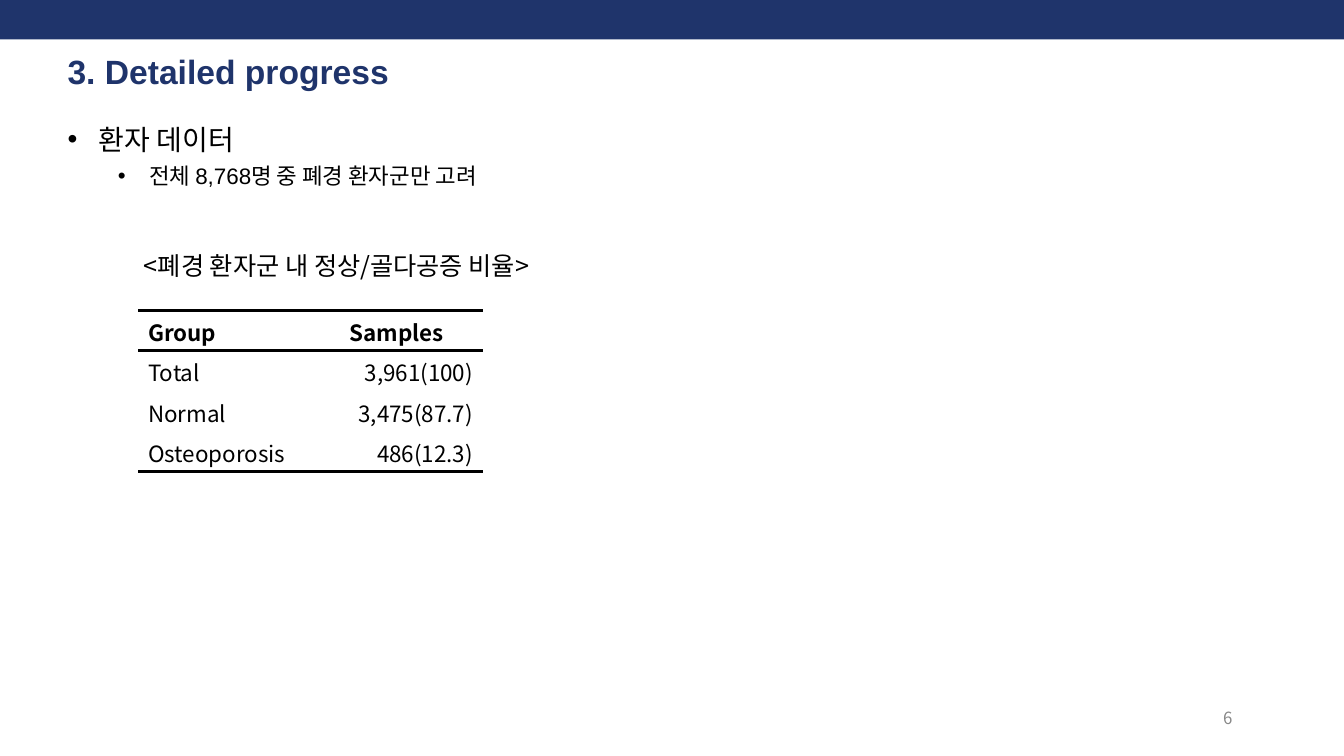
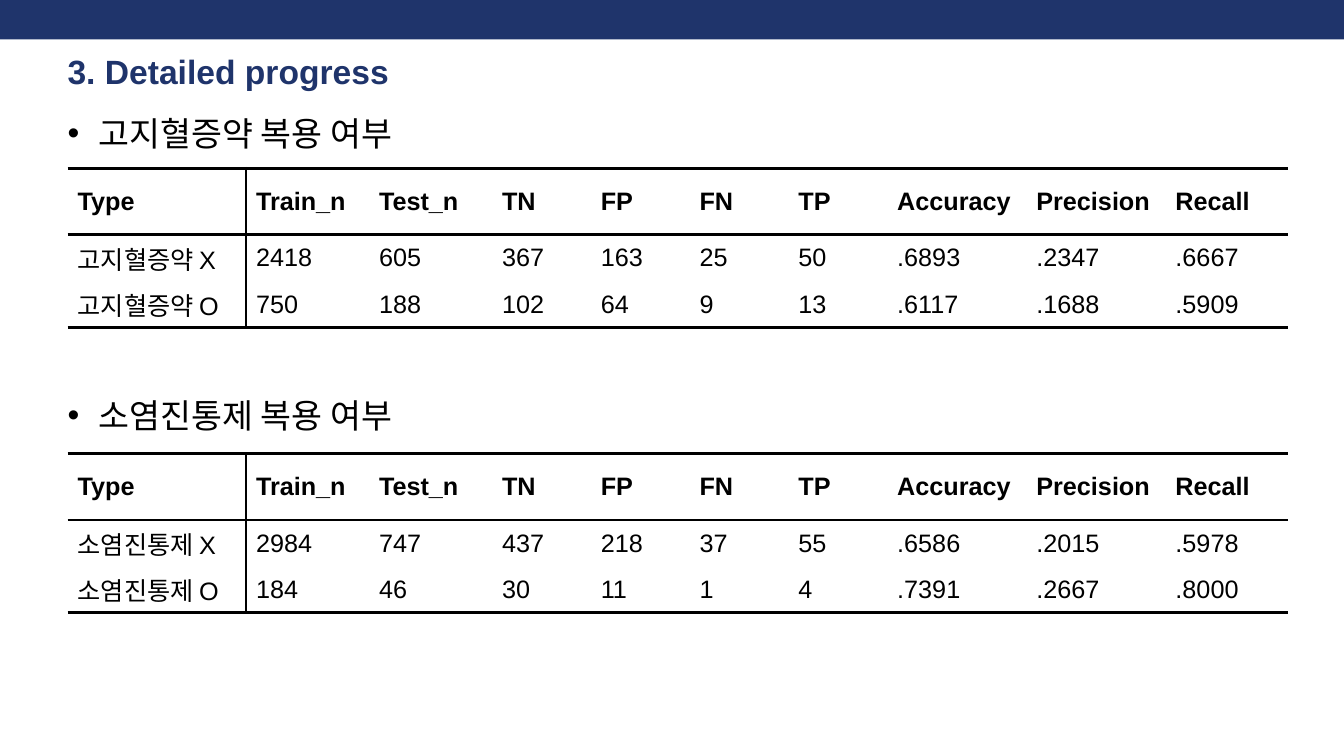
from pptx import Presentation
from pptx.dml.color import RGBColor
from pptx.enum.shapes import MSO_SHAPE as Shape
from pptx.enum.text import MSO_ANCHOR as Anchor, PP_ALIGN as Align
from pptx.oxml import parse_xml
from pptx.oxml.ns import nsdecls
from pptx.util import Inches, Pt

NAVY, BLACK, GRAY = "1F346B", "000000", "888888"
LATIN, KOREAN = "Arial", "Noto Sans CJK KR"
TITLE = "3. Detailed progress"
MARGIN = 0.67
THICK, THIN = 2.25, 1

PATIENT_BULLETS = [
    ("환자 데이터", 20, 0.31),
    ("전체 8,768명 중 폐경 환자군만 고려", 16, 0.81),
]
RATIO_CAPTION = "<폐경 환자군 내 정상/골다공증 비율>"
RATIO_ROWS = [
    ("Group", "Samples"),
    ("Total", "3,961(100)"),
    ("Normal", "3,475(87.7)"),
    ("Osteoporosis", "486(12.3)"),
]
RESULT_HEADER = ("Type", "Train_n", "Test_n", "TN", "FP", "FN", "TP",
                 "Accuracy", "Precision", "Recall")
RESULT_WIDTHS = [1.77, 1.22, 1.22, 0.98, 0.98, 0.98, 0.98, 1.38, 1.38, 1.22]
RESULT_HEIGHTS = [0.66, 0.46, 0.46]
RESULTS = [
    ("고지혈증약 복용 여부", 1.12, 1.67, [
        ("고지혈증약 X", "2418", "605", "367", "163", "25", "50", ".6893", ".2347", ".6667"),
        ("고지혈증약 O", "750", "188", "102", "64", "9", "13", ".6117", ".1688", ".5909"),
    ]),
    ("소염진통제 복용 여부", 3.92, 4.5, [
        ("소염진통제 X", "2984", "747", "437", "218", "37", "55", ".6586", ".2015", ".5978"),
        ("소염진통제 O", "184", "46", "30", "11", "1", "4", ".7391", ".2667", ".8000"),
    ]),
]


def color(value):
    return RGBColor.from_string(value)


def style(para, size, font=LATIN, ink=BLACK, bold=False):
    for span in para.runs:
        span.font.size = Pt(size)
        span.font.name = font
        span.font.bold = bold
        span.font.color.rgb = color(ink)
        span.font._element.append(
            parse_xml(f'<a:ea {nsdecls("a")} typeface="{KOREAN}"/>'))


def add_box(page, left, top, width, height, inset=True):
    box = page.shapes.add_textbox(*map(Inches, (left, top, width, height)))
    frame = box.text_frame
    frame.word_wrap = True
    if not inset:
        frame.margin_left = frame.margin_right = 0
        frame.margin_top = frame.margin_bottom = 0
    return frame


def add_bullet(para, text, size, left):
    para.text = text
    props = para._p.get_or_add_pPr()
    props.set("marL", str(Inches(left)))
    props.set("indent", str(-Inches(0.31)))
    props.append(parse_xml(f'<a:buFont {nsdecls("a")} typeface="{LATIN}"/>'))
    props.append(parse_xml(f'<a:buChar {nsdecls("a")} char="•"/>'))
    style(para, size)


def set_borders(cell, **widths):
    props = cell._tc.get_or_add_tcPr()
    for index, side in enumerate("LRTB"):
        width = widths.get(side, 0)
        paint = (f'<a:solidFill><a:srgbClr val="{BLACK}"/></a:solidFill>'
                 if width else "<a:noFill/>")
        props.insert(index, parse_xml(
            f'<a:ln{side} {nsdecls("a")} w="{Pt(width)}">{paint}</a:ln{side}>'))


def add_grid(page, left, top, widths, heights, rows, size, font,
             aligns=None, anchor=Anchor.TOP, divider=False):
    places = map(Inches, (left, top, sum(widths), sum(heights)))
    table = page.shapes.add_table(len(rows), len(widths), *places).table
    table.first_row = table.horz_banding = False
    for column, width in zip(table.columns, widths):
        column.width = Inches(width)
    for row, height in zip(table.rows, heights):
        row.height = Inches(height)
    last = len(rows) - 1
    for r, values in enumerate(rows):
        for c, value in enumerate(values):
            cell = table.cell(r, c)
            cell.fill.background()
            cell.vertical_anchor = anchor
            para = cell.text_frame.paragraphs[0]
            para.text = value
            if aligns:
                para.alignment = aligns[min(r, 1)][c]
            style(para, size, font, bold=r == 0)
            set_borders(cell,
                        L=THIN if divider and c == 1 else 0,
                        R=THIN if divider and c == 0 else 0,
                        T=THICK if r in (0, 1) else 0,
                        B=THICK if r in (0, last) else 0)


def add_page(deck):
    page = deck.slides.add_slide(deck.slide_layouts[6])
    band = page.shapes.add_shape(Shape.RECTANGLE, 0, 0, deck.slide_width, Inches(0.39))
    band.shadow.inherit = False
    band.fill.solid()
    band.fill.fore_color.rgb = color(NAVY)
    band.line.fill.background()
    frame = add_box(page, MARGIN, 0.49, 12.42, 0.42, inset=False)
    frame.margin_top = Inches(0.01)
    frame.text = TITLE
    style(frame.paragraphs[0], 24, ink=NAVY, bold=True)
    return page


def add_patient_page(deck):
    page = add_page(deck)
    frame = add_box(page, MARGIN, 1.13, 6, 0.86, inset=False)
    for index, bullet in enumerate(PATIENT_BULLETS):
        para = frame.add_paragraph() if index else frame.paragraphs[0]
        add_bullet(para, *bullet)
        para.line_spacing = 1.25
    caption = add_box(page, 1.33, 2.43, 6.66, 0.4)
    caption.text = RATIO_CAPTION
    style(caption.paragraphs[0], 18, KOREAN)
    add_grid(page, 1.37, 3.08, [1.71] * 2, [0.4] * 4, RATIO_ROWS, 16, KOREAN,
             aligns=[(Align.LEFT, Align.CENTER), (Align.LEFT, Align.RIGHT)])
    number = add_box(page, 12.09, 7.02, 0.28, 0.25, inset=False)
    number.margin_left = Inches(0.04)
    number.text = "6"
    style(number.paragraphs[0], 12, KOREAN, GRAY)


def add_result_page(deck):
    page = add_page(deck)
    for heading, heading_top, table_top, rows in RESULTS:
        frame = add_box(page, MARGIN, heading_top, 9.83, 0.48, inset=False)
        add_bullet(frame.paragraphs[0], heading, 24, 0.31)
        add_grid(page, MARGIN, table_top, RESULT_WIDTHS, RESULT_HEIGHTS,
                 [RESULT_HEADER] + rows, 18, LATIN, anchor=Anchor.MIDDLE, divider=True)


def main():
    deck = Presentation()
    deck.slide_width, deck.slide_height = Inches(13.33), Inches(7.5)
    add_patient_page(deck)
    add_result_page(deck)
    deck.save("out.pptx")


if __name__ == "__main__":
    main()
